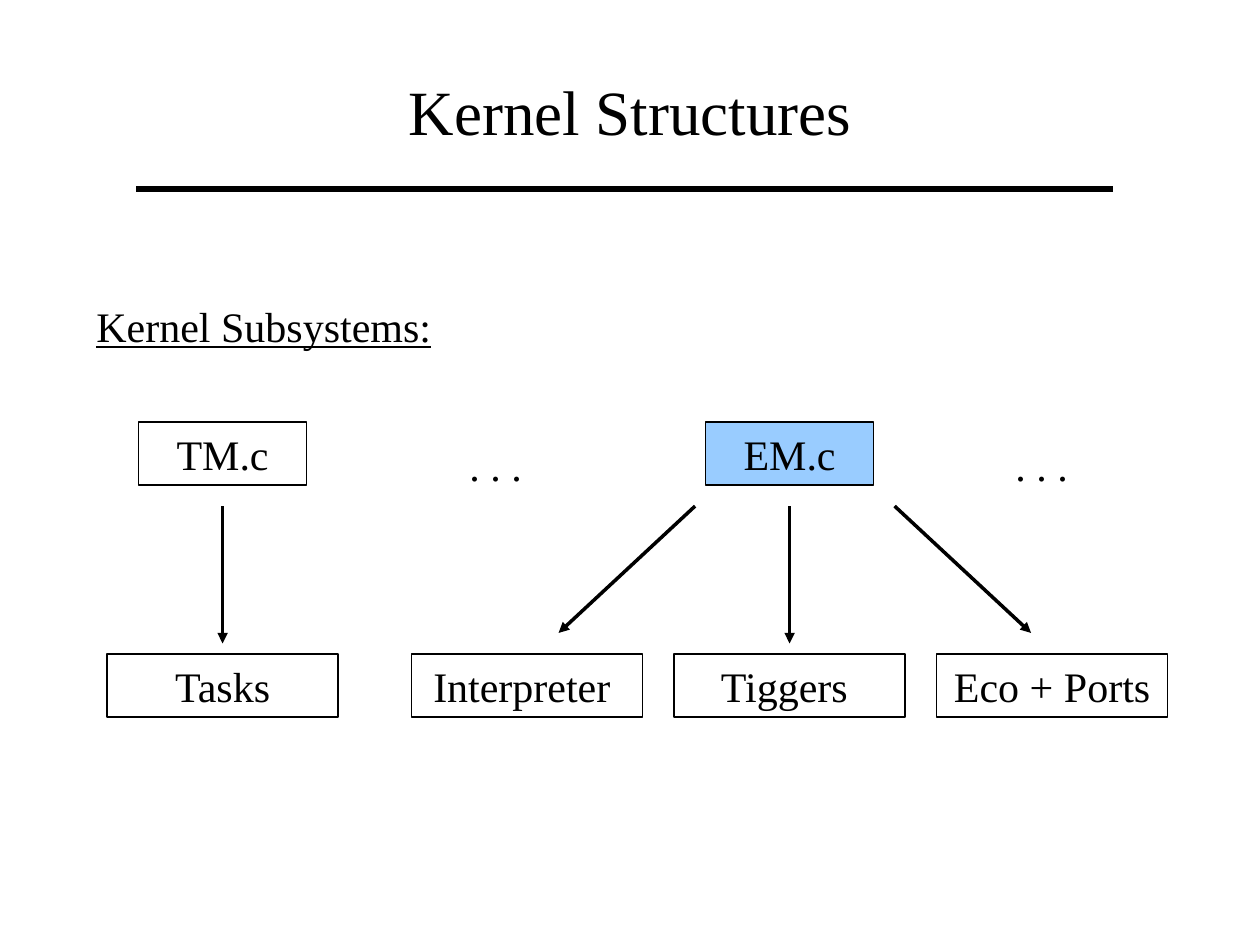
from lxml import etree
from pptx import Presentation
from pptx.dml.color import RGBColor
from pptx.enum import shapes, text
from pptx.oxml.ns import qn
from pptx.util import Pt

FONT = "Times New Roman"
BLACK = "000000"
BLUE = "99CCFF"
MID = text.PP_ALIGN.CENTER
LEFT = text.PP_ALIGN.LEFT


def color(code):
    return RGBColor.from_string(code)


def write(frame, words, size=24, align=MID, under=False,
          anchor=text.MSO_ANCHOR.TOP):
    frame.word_wrap = True
    frame.auto_size = text.MSO_AUTO_SIZE.NONE
    frame.vertical_anchor = anchor
    frame.margin_left = frame.margin_right = Pt(7.2)
    frame.margin_top = frame.margin_bottom = Pt(3.6)
    para = frame.paragraphs[0]
    para.alignment = align
    run = para.add_run()
    run.text = words
    font = run.font
    font.name, font.size = FONT, Pt(size)
    font.color.rgb = color(BLACK)
    if under:
        font.underline = True


def label(slide, box, words, align=MID, under=False):
    item = slide.shapes.add_textbox(*map(Pt, box))
    write(item.text_frame, words, align=align, under=under)


def block(slide, box, words, fill=None):
    item = slide.shapes.add_shape(shapes.MSO_SHAPE.RECTANGLE, *map(Pt, box))
    item.shadow.inherit = False
    if fill:
        item.fill.solid()
        item.fill.fore_color.rgb = color(fill)
    else:
        item.fill.background()
    item.line.color.rgb = color(BLACK)
    item.line.width = Pt(0.75)
    write(item.text_frame, words)


def line(slide, ends, width, arrow=False):
    item = slide.shapes.add_connector(
        shapes.MSO_CONNECTOR.STRAIGHT, *map(Pt, ends))
    item.line.color.rgb = color(BLACK)
    item.line.width = Pt(width)
    props = item._element.spPr
    if arrow:
        etree.SubElement(props.find(qn("a:ln")), qn("a:tailEnd"),
                         type="triangle")
    etree.SubElement(props, qn("a:effectLst"))


def header(slide, box):
    x, y, w, h = box
    title = slide.shapes.title
    title.left, title.top, title.width, title.height = map(Pt, box)
    write(title.text_frame, "Kernel Structures", 36,
          anchor=text.MSO_ANCHOR.MIDDLE)
    # Rule under the title
    line(slide, (x + 24, y + 72, x + w - 30, y + 72), 3)


def diagram(slide, box):
    x, y, w, h = box
    tall, top_w, low_w = 36, 96, 132
    low_y = y + h - tall

    # Source files and dots
    task, event = x + low_w / 2, x + 390
    block(slide, (task - top_w / 2, y, top_w, tall), "TM.c")
    block(slide, (event - top_w / 2, y, top_w, tall), "EM.c", BLUE)
    for dot_x in (x + 174, x + 486):
        label(slide, (dot_x, y + 6.5, top_w, tall), ". . .")

    # Parts that each file manages
    step = 150
    parts = [(task, "Tasks"), (event - step, "Interpreter "),
             (event, "Tiggers "), (event + step, "Eco + Ports ")]
    for mid, words in parts:
        block(slide, (mid - low_w / 2, low_y, low_w, tall), words)

    # Arrows from files to parts
    start, end = y + tall + 12, low_y - 6
    for mid in (task, event):
        line(slide, (mid, start, mid, end), 2, True)
    for side in (-1, 1):
        line(slide, (event + side * 57 + 3, start,
                     event + side * 135 + 3, end - 6), 2, True)


def main():
    deck = Presentation()
    deck.slide_width, deck.slide_height = Pt(720), Pt(540)
    slide = deck.slides.add_slide(deck.slide_layouts[5])
    header(slide, (54, 36, 612, 54))
    label(slide, (48, 168, 240, 36), "Kernel Subsystems:", LEFT, True)
    diagram(slide, (61.2, 241.2, 606, 168.5))
    deck.save("out.pptx")


if __name__ == "__main__":
    main()
